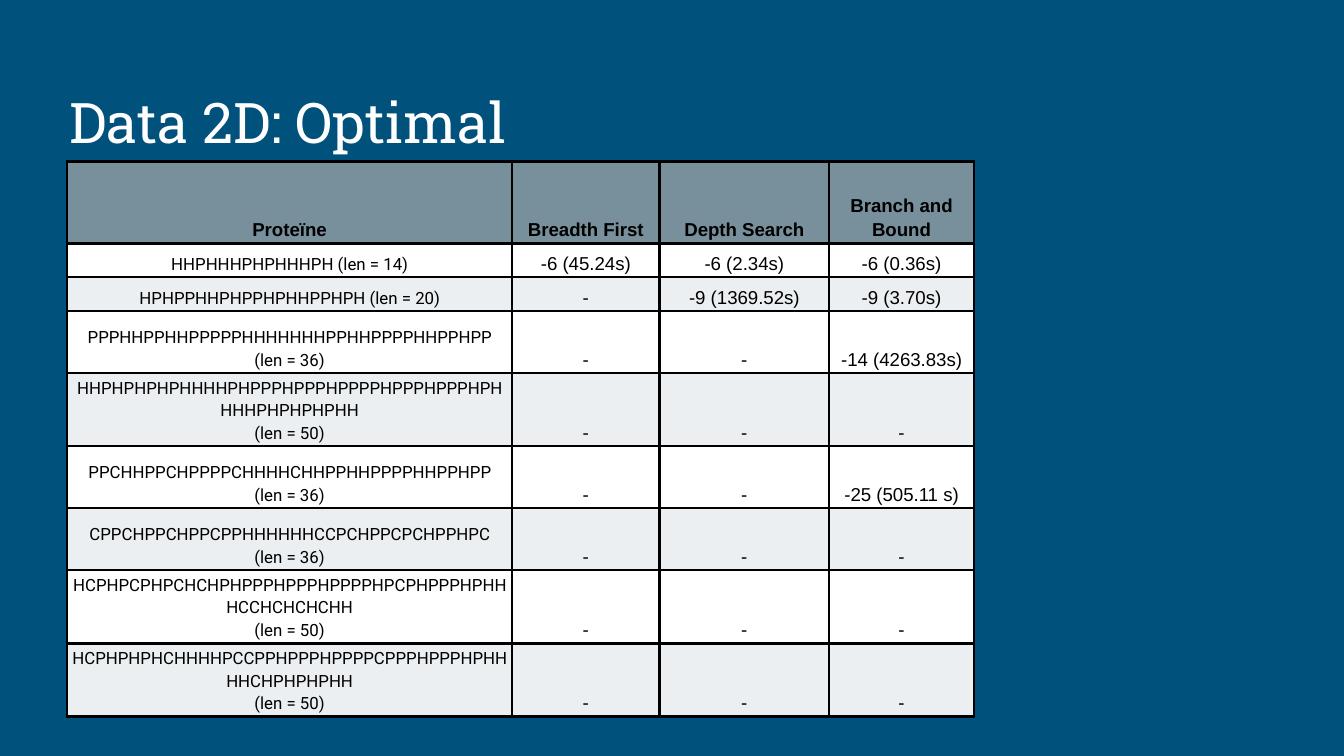
from dataclasses import dataclass

from lxml import etree
from pptx import Presentation
from pptx.dml.color import RGBColor
from pptx.enum.text import MSO_ANCHOR, MSO_AUTO_SIZE, PP_ALIGN
from pptx.oxml.ns import qn
from pptx.util import Cm, Pt

BOTTOM = MSO_ANCHOR.BOTTOM
LEFT, CENTER = PP_ALIGN.LEFT, PP_ALIGN.CENTER
NO_AUTOFIT = MSO_AUTO_SIZE.NONE
TITLE_ONLY = 5


@dataclass(frozen=True)
class Theme:
    """Colours, fonts and type sizes of the slide."""
    background: str = "00517C"
    title: str = "FFFFFF"
    ink: str = "000000"
    header: str = "78909C"
    bands: tuple = ("FFFFFF", "EBEFF1")
    title_font: str = "Roboto Slab"
    result_font: str = "Arial"
    protein_font: str = "Roboto"
    title_size: float = 30
    result_size: float = 10
    protein_size: float = 9
    border: float = 1.5


THEME = Theme()
HEADINGS = ("Proteïne", "Breadth First", "Depth Search", "Branch and Bound")
RESULTS = (
    ("HHPHHHPHPHHHPH (len = 14)", "-6 (45.24s)", "-6 (2.34s)", "-6 (0.36s)"),
    ("HPHPPHHPHPPHPHHPPHPH (len = 20)", "-", "-9 (1369.52s)", "-9 (3.70s)"),
    ("PPPHHPPHHPPPPPHHHHHHHPPHHPPPPHHPPHPP\n(len = 36)", "-", "-", "-14 (4263.83s)"),
    ("HHPHPHPHPHHHHPHPPPHPPPHPPPPHPPPHPPPHPHHHHPHPHPHPHH\n(len = 50)", "-", "-", "-"),
    ("PPCHHPPCHPPPPCHHHHCHHPPHHPPPPHHPPHPP\n(len = 36)", "-", "-", "-25 (505.11 s)"),
    ("CPPCHPPCHPPCPPHHHHHHCCPCHPPCPCHPPHPC\n(len = 36)", "-", "-", "-"),
    ("HCPHPCPHPCHCHPHPPPHPPPHPPPPHPCPHPPPHPHHHCCHCHCHCHH\n(len = 50)", "-", "-", "-"),
    ("HCPHPHPHCHHHHPCCPPHPPPHPPPPCPPPHPPPHPHHHHCHPHPHPHH\n(len = 50)", "-", "-", "-"),
)
COLUMN_SHARES = (3.31, 1.1, 1.26, 1.08)
HEADER_HEIGHT, LINE_HEIGHT, WRAPPED_HEIGHT = Cm(1.55), Cm(0.64), Cm(1.17)
CELL_FORMAT = {
    "vertical_anchor": BOTTOM,
    "margin_left": Cm(0.08),
    "margin_right": Cm(0.08),
    "margin_top": Cm(0.05),
    "margin_bottom": Cm(0.05),
}
TITLE_FORMAT = {
    "vertical_anchor": BOTTOM,
    "auto_size": NO_AUTOFIT,
    "word_wrap": True,
    "margin_left": Cm(0.25),
    "margin_right": Cm(0.25),
    "margin_top": Cm(0.25),
    "margin_bottom": Cm(0.25),
}


def apply(target, values):
    """Set every attribute named in values on the target."""
    for name, value in values.items():
        setattr(target, name, value)


def style_font(font, family, size, color, bold=False):
    """Give a font its family, size, weight and colour."""
    apply(font, {"name": family, "size": Pt(size), "bold": bold})
    font.color.rgb = RGBColor.from_string(color)


def draw_borders(cell):
    """Outline the four sides of a cell."""
    properties = cell._tc.get_or_add_tcPr()
    for side in ("a:lnL", "a:lnR", "a:lnT", "a:lnB"):
        line = etree.SubElement(properties, qn(side), w=str(Pt(THEME.border)))
        paint = etree.SubElement(line, qn("a:solidFill"))
        etree.SubElement(paint, qn("a:srgbClr"), val=THEME.ink)


def fill_cell(cell, wording, fill, family, size, bold):
    """Write and format one table cell."""
    apply(cell, CELL_FORMAT)
    draw_borders(cell)
    cell.fill.solid()
    cell.fill.fore_color.rgb = RGBColor.from_string(fill)
    cell.text = wording
    for paragraph in cell.text_frame.paragraphs:
        apply(paragraph, {"alignment": CENTER, "line_spacing": 1.15})
        style_font(paragraph.runs[0].font, family, size, THEME.ink, bold)


def place_title(slide, wording, left, top, width, height):
    """Fill the title placeholder and move it to its box."""
    title = slide.shapes.title
    apply(title, {"left": left, "top": top, "width": width, "height": height})
    apply(title.text_frame, TITLE_FORMAT)
    title.text_frame.text = wording
    heading = title.text_frame.paragraphs[0]
    heading.alignment = LEFT
    style_font(heading.runs[0].font, THEME.title_font, THEME.title_size, THEME.title)


def place_results(slide, left, top, width):
    """Build the table of search results across the given width."""
    rows = (HEADINGS, *RESULTS)
    heights = [HEADER_HEIGHT] + [
        WRAPPED_HEIGHT if "\n" in protein else LINE_HEIGHT for protein, *_ in RESULTS
    ]
    table = slide.shapes.add_table(
        len(rows), len(HEADINGS), left, top, width, sum(heights)
    ).table
    apply(table, {"first_row": False, "horz_banding": False})
    for column, share in zip(table.columns, COLUMN_SHARES):
        column.width = int(width * share / sum(COLUMN_SHARES))
    for r, (wordings, height) in enumerate(zip(rows, heights)):
        table.rows[r].height = height
        is_header = r == 0
        fill = THEME.header if is_header else THEME.bands[(r - 1) % 2]
        for c, wording in enumerate(wordings):
            family, size = THEME.result_font, THEME.result_size
            if c == 0 and not is_header:
                family, size = THEME.protein_font, THEME.protein_size
            fill_cell(table.cell(r, c), wording, fill, family, size, is_header)


def main():
    """Build and save the presentation."""
    presentation = Presentation()
    apply(presentation, {"slide_width": Cm(25.4), "slide_height": Cm(14.29)})
    slide = presentation.slides.add_slide(presentation.slide_layouts[TITLE_ONLY])
    slide.background.fill.solid()
    slide.background.fill.fore_color.rgb = RGBColor.from_string(THEME.background)
    place_title(slide, "Data 2D: Optimal", Cm(1.07), Cm(1.27), Cm(23.24), Cm(1.9))
    place_results(slide, Cm(1.27), Cm(3.05), Cm(17.14))
    presentation.save("out.pptx")


if __name__ == "__main__":
    main()
